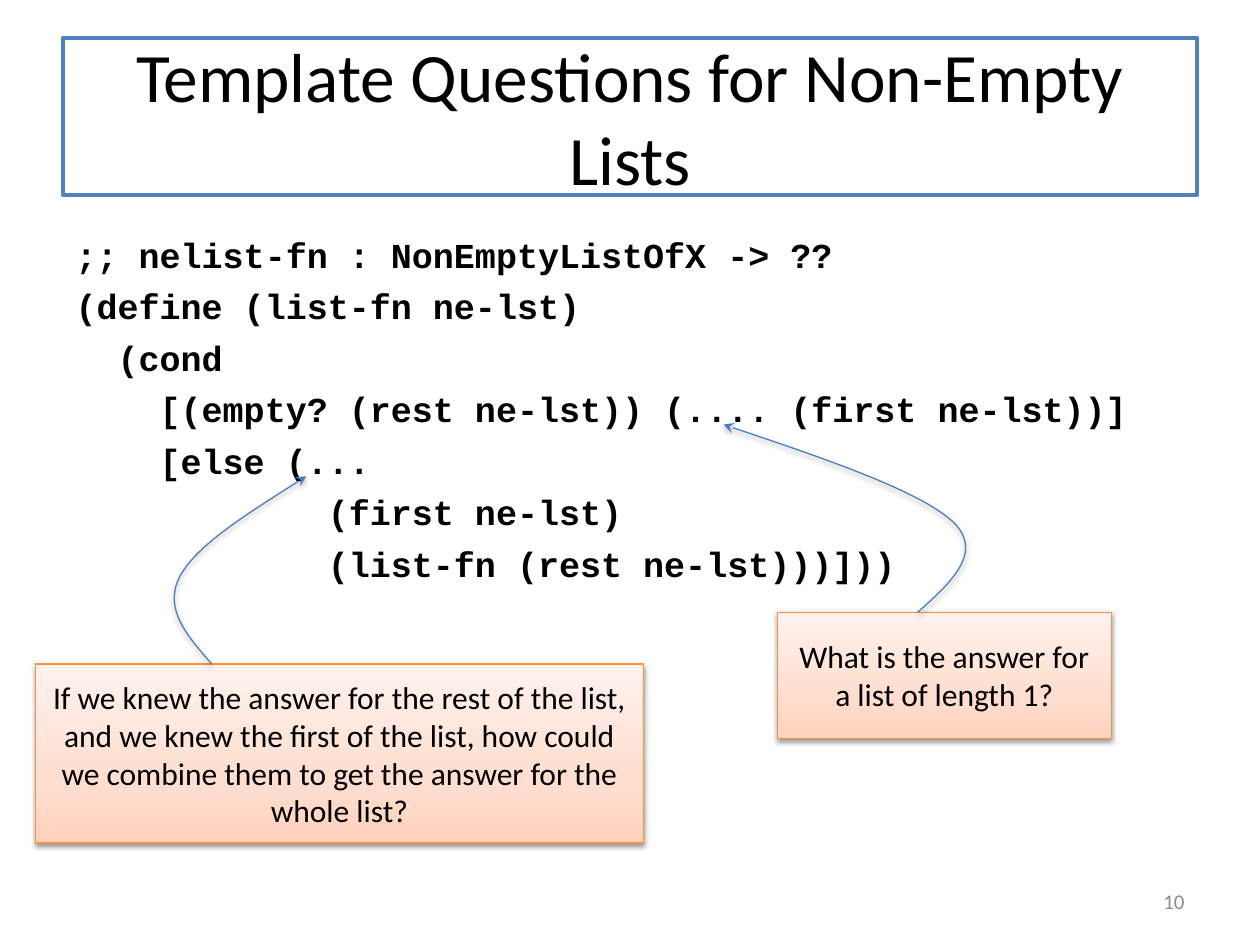
from dataclasses import dataclass

from lxml.etree import SubElement
from pptx import Presentation
from pptx.dml.color import RGBColor
from pptx.enum.shapes import MSO_SHAPE
from pptx.enum.text import MSO_ANCHOR, MSO_AUTO_SIZE, PP_ALIGN
from pptx.oxml.ns import qn
from pptx.util import Inches, Pt

COLUMNS, ROWS = 100, 75
CELL = Inches(10) / COLUMNS


@dataclass(frozen=True)
class Theme:
    """Colours, typefaces and type sizes of the slide."""
    text: str = "000000"
    paper: str = "FFFFFF"
    title_line: str = "4F81BD"
    arrow: str = "4B7EBC"
    callout_line: str = "F69240"
    callout_stops: tuple = ((0, "FFD2BD"), (35, "FFDED0"), (100, "FFF2ED"))
    muted: str = "8C8C8C"
    sans: str = "Calibri"
    mono: str = "Courier New"
    title_size: float = 39.6
    code_size: float = 20
    callout_size: float = 18
    number_size: float = 12


THEME = Theme()

CODE = """;; nelist-fn : NonEmptyListOfX -> ??
(define (list-fn ne-lst)
  (cond
    [(empty? (rest ne-lst)) (.... (first ne-lst))]
    [else (...
            (first ne-lst)
            (list-fn (rest ne-lst)))]))""".splitlines()


def cells(*values):
    """Turn grid cells into lengths."""
    return [round(value * CELL) for value in values]


def place(shape, box):
    """Set a shape's left, top, width and height from grid cells."""
    shape.left, shape.top, shape.width, shape.height = cells(*box)


def style(para, face, size, color, align, bold=False):
    """Format a whole paragraph."""
    para.alignment = align
    font = para.font
    font.name, font.size, font.bold = face, Pt(size), bold
    font.color.rgb = RGBColor.from_string(color)


def set_line(shape, color, width):
    """Give a shape a solid outline."""
    shape.line.color.rgb = RGBColor.from_string(color)
    shape.line.width = Pt(width)


def add_shadow(shape):
    """Give a shape a soft shadow straight below it."""
    shape.shadow.inherit = False
    effects = shape._element.spPr.find(qn("a:effectLst"))
    shadow = SubElement(effects, qn("a:outerShdw"), blurRad=str(Pt(3.1)),
                        dist=str(Pt(1.6)), dir="5400000", rotWithShape="0")
    color = SubElement(shadow, qn("a:srgbClr"), val="000000")
    SubElement(color, qn("a:alpha"), val="38000")


def fill_gradient(shape, stops):
    """Fill a shape with colour stops running from bottom to top."""
    shape.fill.gradient()
    shape.fill.gradient_angle = 90
    stop_list = shape._element.spPr.find(".//" + qn("a:gsLst"))
    stop_list.clear()
    for share, color in stops:
        stop = SubElement(stop_list, qn("a:gs"), pos=str(share * 1000))
        SubElement(stop, qn("a:srgbClr"), val=color)


def add_title(page, box, text):
    """Write the framed title."""
    title = page.shapes.title
    place(title, box)
    title.fill.solid()
    title.fill.fore_color.rgb = RGBColor.from_string(THEME.paper)
    set_line(title, THEME.title_line, 2.25)
    frame = title.text_frame
    frame.text = text
    frame.auto_size = MSO_AUTO_SIZE.NONE
    frame.vertical_anchor = MSO_ANCHOR.MIDDLE
    style(frame.paragraphs[0], THEME.sans, THEME.title_size, THEME.text, PP_ALIGN.CENTER)


def add_code(page, box, lines):
    """Write the code, one paragraph a line, in the body placeholder."""
    body = page.placeholders[1]
    place(body, box)
    frame = body.text_frame
    frame.text = "\n".join(lines)
    frame.auto_size = MSO_AUTO_SIZE.NONE
    frame.margin_top = Inches(0.1)
    for index, para in enumerate(frame.paragraphs):
        properties = para._p.get_or_add_pPr()
        properties.set("marL", "0")
        properties.set("indent", "0")
        SubElement(properties, qn("a:buNone"))
        para.space_before = Pt(5.4 if index else 0)
        style(para, THEME.mono, THEME.code_size, THEME.text, PP_ALIGN.LEFT, bold=True)


def add_number(page, box, text):
    """Write the page number."""
    number = page.shapes.add_textbox(*cells(*box))
    frame = number.text_frame
    frame.text = text
    frame.word_wrap = True
    frame.vertical_anchor = MSO_ANCHOR.MIDDLE
    style(frame.paragraphs[0], THEME.sans, THEME.number_size, THEME.muted, PP_ALIGN.RIGHT)


def add_curved_arrow(page, start, offsets):
    """Draw a Bezier arrow whose points are offsets from its start."""
    points = [(start[0] + across, start[1] + down) for across, down in offsets]
    builder = page.shapes.build_freeform(*cells(*start))
    builder.add_line_segments([tuple(cells(*point)) for point in points], close=False)
    arrow = builder.convert_to_shape()
    outline = arrow._element.spPr.find(".//" + qn("a:path"))
    segments = outline.findall(qn("a:lnTo"))
    for first in range(0, len(segments), 3):
        curve = SubElement(outline, qn("a:cubicBezTo"))
        for segment in segments[first:first + 3]:
            curve.append(segment[0])
            outline.remove(segment)
    arrow.fill.background()
    set_line(arrow, THEME.arrow, 0.75)
    SubElement(arrow.line._get_or_add_ln(), qn("a:tailEnd"), type="stealth")
    add_shadow(arrow)


def add_callout(page, box, text, start_share, offsets):
    """Draw a question box and the arrow that leaves its top edge."""
    callout = page.shapes.add_shape(MSO_SHAPE.RECTANGLE, *cells(*box))
    fill_gradient(callout, THEME.callout_stops)
    set_line(callout, THEME.callout_line, 0.75)
    add_shadow(callout)
    frame = callout.text_frame
    frame.text = text
    frame.word_wrap = True
    frame.vertical_anchor = MSO_ANCHOR.MIDDLE
    style(frame.paragraphs[0], THEME.sans, THEME.callout_size, THEME.text, PP_ALIGN.CENTER)
    left, top, width, _ = box
    add_curved_arrow(page, (left + start_share * width, top), offsets)


def main():
    """Build and save the slide."""
    deck = Presentation()
    deck.slide_width, deck.slide_height = cells(COLUMNS, ROWS)
    page = deck.slides.add_slide(deck.slide_layouts[1])
    add_title(page, (5, 3, 90, 12.5), "Template Questions for Non-Empty Lists")
    add_code(page, (5, 17.5, 90, 49.5), CODE)
    add_number(page, (71.7, 69.5, 23.3, 4), "10")
    add_callout(page, (61.7, 48.6, 26.5, 10),
                "What is the answer for a list of length 1?", 0.42,
                [(2.7, -2.4), (5.3, -4.8), (2.8, -7.2),
                 (0.2, -9.6), (-7.6, -12.3), (-15.4, -14.9)])
    add_callout(page, (2.8, 52.7, 48.3, 14.2),
                "If we knew the answer for the rest of the list, and we knew the first "
                "of the list, how could we combine them to get the answer for the "
                "whole list?", 0.29,
                [(-1.9, -2.2), (-3.8, -4.3), (-2.6, -6.8),
                 (-1.4, -9.3), (3.1, -12.1), (7.5, -14.9)])
    deck.save("out.pptx")


if __name__ == "__main__":
    main()
